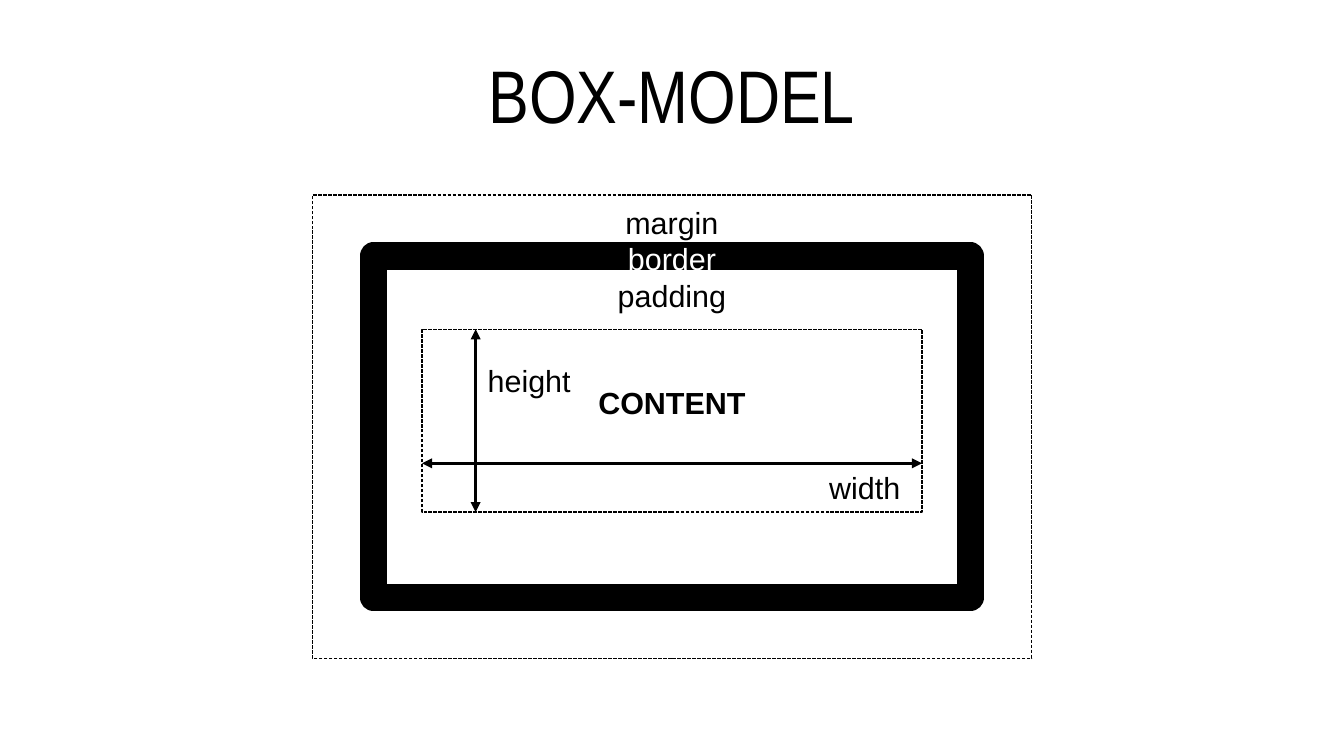
from lxml.etree import SubElement
from pptx import Presentation
from pptx.dml.color import RGBColor
from pptx.enum.dml import MSO_LINE_DASH_STYLE as Dash
from pptx.enum.shapes import MSO_CONNECTOR as Connector, MSO_SHAPE as Shape
from pptx.enum.text import MSO_ANCHOR as Anchor, MSO_AUTO_SIZE as AutoSize, PP_ALIGN as Align
from pptx.oxml.ns import qn
from pptx.util import Inches, Pt

BLACK = RGBColor(0x00, 0x00, 0x00)
WHITE = RGBColor(0xFF, 0xFF, 0xFF)

# Content: lengths count cells of a 0.1 inch grid
COLUMNS, ROWS = 110.2, 62
TITLE = "BOX-MODEL"
TITLE_AREA = (5.5, 2.5, 99.2, 10.4)
MARGIN_BOX = (59, 16, 38)  # width, top, height; every box is centred
BORDER_BOX = (49, 21, 28)
CONTENT_BOX = (41, 27, 15)
CENTRED_LABELS = [  # text, top, width, format
    ("CONTENT", 31, 25, {"bold": True}),
    ("padding", 22.2, 11, {}),
    ("border", 19.2, 14, {"color": WHITE}),
    ("margin", 16.2, 13, {}),
]
HEIGHT_COLUMN, WIDTH_ROW = 39, 38
SIDE_LABELS = [  # text, left, top, width
    ("width", 67, WIDTH_ROW, 8),
    ("height", HEIGHT_COLUMN, 29.2, 9),
]
LABEL_HEIGHT = 3.8


def cells(*counts):
    return [Inches(count / 10) for count in counts]


def centred(width):
    return (COLUMNS - width) / 2


def write(frame, text, font="Arial", size=18, color=BLACK, bold=False, align=Align.LEFT):
    frame.word_wrap = True
    paragraph = frame.paragraphs[0]
    paragraph.alignment = align
    run = paragraph.add_run()
    run.text = text
    run.font.name, run.font.size = font, Pt(size)
    run.font.bold, run.font.color.rgb = bold, color


def add_label(text, left, top, width, **text_format):
    box = slide.shapes.add_textbox(*cells(left, top, width, LABEL_HEIGHT))
    write(box.text_frame, text, **text_format)


def add_box(width, top, height, line_width=0, dash=None):
    box = slide.shapes.add_shape(Shape.RECTANGLE, *cells(centred(width), top, width, height))
    box.shadow.inherit = False
    box.fill.solid()
    box.fill.fore_color.rgb = WHITE
    box.line.color.rgb = BLACK
    box.line.width = Pt(line_width)
    if dash:
        box.line.dash_style = dash
    SubElement(box.line._get_or_add_ln(), qn("a:round"))


def add_double_arrow(*ends):
    arrow = slide.shapes.add_connector(Connector.STRAIGHT, *cells(*ends))
    arrow.line.color.rgb = BLACK
    arrow.line.width = Pt(1.5)
    for end in ("a:headEnd", "a:tailEnd"):
        SubElement(arrow.line._get_or_add_ln(), qn(end), type="triangle")
    SubElement(arrow._element.spPr, qn("a:effectLst"))


presentation = Presentation()
presentation.slide_width, presentation.slide_height = cells(COLUMNS, ROWS)
slide = presentation.slides.add_slide(presentation.slide_layouts[5])

# Title
title = slide.shapes.title
title.left, title.top, title.width, title.height = cells(*TITLE_AREA)
frame = title.text_frame
frame.margin_left = frame.margin_right = frame.margin_top = frame.margin_bottom = 0
frame.vertical_anchor = Anchor.MIDDLE
frame.auto_size = AutoSize.NONE
write(frame, TITLE, font="Arial Narrow", size=44, align=Align.CENTER)

# Nested boxes
add_box(*MARGIN_BOX, dash=Dash.SQUARE_DOT)
add_box(*BORDER_BOX, line_width=16)
add_box(*CONTENT_BOX, dash=Dash.SQUARE_DOT)

# Dimension arrows
content_width, content_top, content_height = CONTENT_BOX
content_left = centred(content_width)
add_double_arrow(HEIGHT_COLUMN, content_top, HEIGHT_COLUMN, content_top + content_height)
add_double_arrow(content_left, WIDTH_ROW, content_left + content_width, WIDTH_ROW)

# Labels
for text, left, top, width in SIDE_LABELS:
    add_label(text, left, top, width)
for text, top, width, text_format in CENTRED_LABELS:
    add_label(text, centred(width), top, width, align=Align.CENTER, **text_format)

presentation.save("out.pptx")
